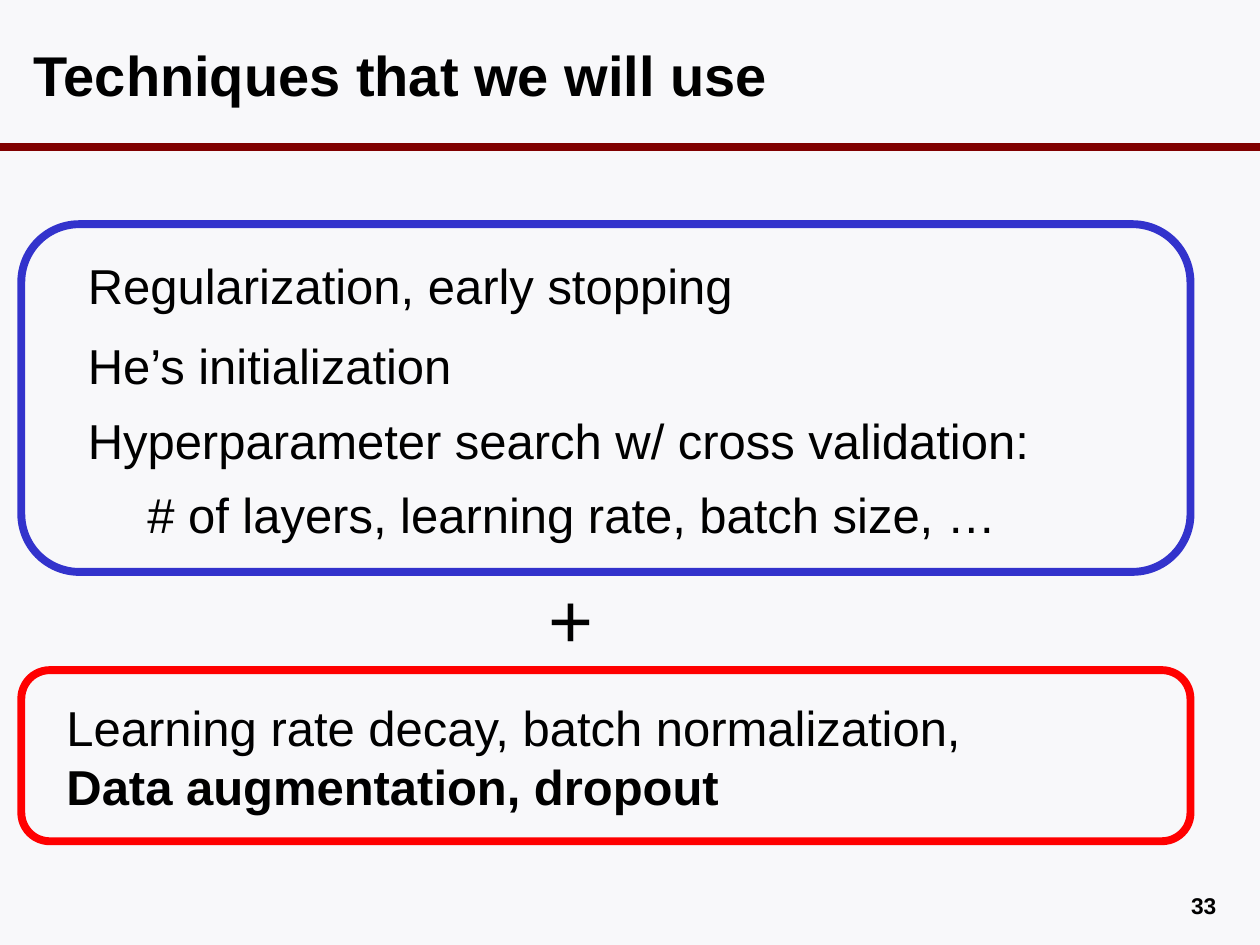
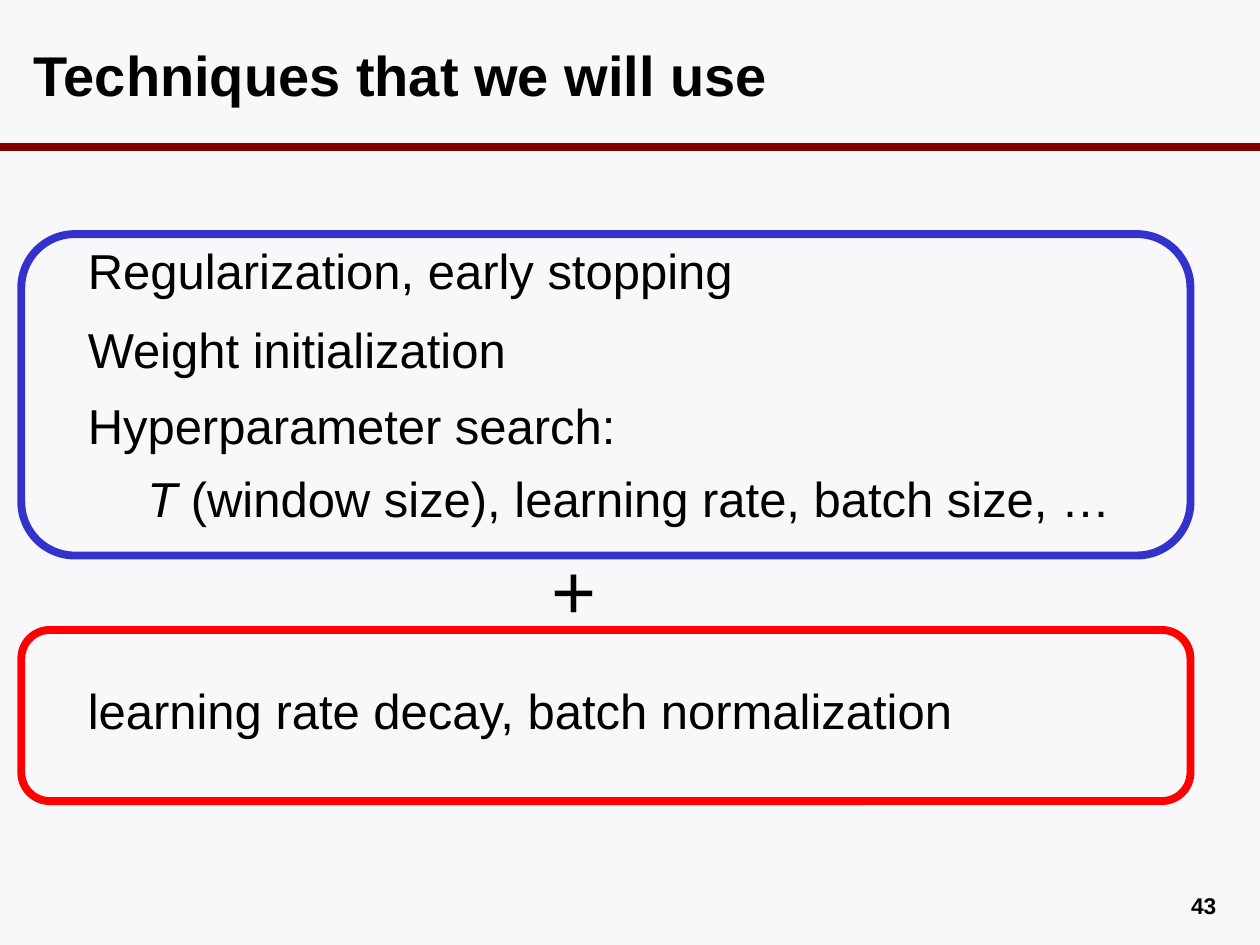
from pptx import Presentation
from pptx.dml.color import RGBColor
from pptx.enum.shapes import MSO_CONNECTOR, MSO_SHAPE
from pptx.enum.text import MSO_ANCHOR as Anchor, PP_ALIGN as Align
from pptx.oxml.ns import qn
from pptx.util import Cm, Pt
from lxml import etree

COLORS = {
    "background": "F8F8FA",
    "rule": "800000",
    "known": "3333CC",
    "new": "FF0000",
    "text": "000000",
}
FONT = "Arial"
BODY_SIZE = 28
LINE_WIDTH = 4.5
SLIDE_W, SLIDE_H = 25.4, 19.05
FRAME_LEFT, FRAME_W, NEW_FRAME_H = 0.43, 23.57, 3.45
ITEM_LEFT, DETAIL_LEFT = 1.52, 2.72
ITEM_H, ITEM_W = 1.45, 20.42
ITEM_OFFSETS = (0, 1.6, 3.12)
DETAIL_OFFSET = 4.61


def rgb(name):
    return RGBColor.from_string(COLORS[name])


def add_text(slide, box, paragraphs, size=BODY_SIZE, align=Align.LEFT,
             anchor=Anchor.TOP, wrap=True):
    """Each paragraph is a list of (text, style), style being "", "b" or "i"."""
    tf = slide.shapes.add_textbox(*map(Cm, box)).text_frame
    tf.word_wrap = wrap
    tf.vertical_anchor = anchor
    for i, runs in enumerate(paragraphs):
        p = tf.paragraphs[0] if i == 0 else tf.add_paragraph()
        p.alignment = align
        for text, style in runs:
            r = p.add_run()
            r.text = text
            r.font.name = FONT
            r.font.size = Pt(size)
            r.font.bold = style == "b"
            r.font.italic = style == "i"
            r.font.color.rgb = rgb("text")


def add_frame(slide, top, height, color):
    sp = slide.shapes.add_shape(MSO_SHAPE.ROUNDED_RECTANGLE, Cm(FRAME_LEFT),
                                Cm(top), Cm(FRAME_W), Cm(height))
    sp.shadow.inherit = False
    sp.fill.background()
    sp.line.color.rgb = rgb(color)
    sp.line.width = Pt(LINE_WIDTH)


def add_rule(slide, y):
    line = slide.shapes.add_connector(MSO_CONNECTOR.STRAIGHT, Cm(0), Cm(y),
                                      Cm(SLIDE_W), Cm(y))
    line.line.color.rgb = rgb("rule")
    line.line.width = Pt(LINE_WIDTH)
    etree.SubElement(line._element.spPr, qn("a:effectLst"))


def add_base_slide(prs, title, number):
    """Background, rule, title and page number shared by the slides."""
    s = prs.slides.add_slide(prs.slide_layouts[6])
    s.background.fill.solid()
    s.background.fill.fore_color.rgb = rgb("background")
    add_rule(s, 2.97)
    add_text(s, (0.43, 0.43, 24.28, 2.11), [[(title, "b")]], size=32,
             anchor=Anchor.MIDDLE)
    add_text(s, (18.85, 17.86, 5.92, 0.69), [[(str(number), "b")]], size=13,
             align=Align.RIGHT)
    return s


def add_known_techniques(slide, top, items, detail):
    for offset, item in zip(ITEM_OFFSETS, items):
        add_text(slide, (ITEM_LEFT, top + offset, ITEM_W, ITEM_H), [[(item, "")]])
    add_text(slide, (DETAIL_LEFT, top + DETAIL_OFFSET, ITEM_W, ITEM_H), [detail])


def add_plus(slide, left, top):
    add_text(slide, (left, top, 1.42, 2.13), [[("+", "")]], size=44, wrap=False)


def main():
    prs = Presentation()
    prs.slide_width, prs.slide_height = Cm(SLIDE_W), Cm(SLIDE_H)
    title = "Techniques that we will use"

    # Techniques with data augmentation and dropout
    s = add_base_slide(prs, title, 33)
    add_known_techniques(
        s, 5.03,
        ["Regularization, early stopping", "He’s initialization",
         "Hyperparameter search w/ cross validation:"],
        [("# of layers, learning rate, batch size, …", "")])
    add_frame(s, 4.52, 7.01, "known")
    add_frame(s, 13.51, NEW_FRAME_H, "new")
    add_plus(s, 10.8, 11.4)
    add_text(s, (1.09, 13.94, 22.43, 2.64),
             [[("Learning rate decay, batch normalization,", "")],
              [("Data augmentation, dropout", "b")]])

    # Techniques with a window size
    s = add_base_slide(prs, title, 43)
    add_known_techniques(
        s, 4.72,
        ["Regularization, early stopping", "Weight initialization",
         "Hyperparameter search:"],
        [("T", "i"), (" (window size), learning rate, batch size, …", "")])
    add_frame(s, 4.72, 6.48, "known")
    add_frame(s, 12.7, NEW_FRAME_H, "new")
    add_plus(s, 10.87, 10.82)
    add_text(s, (ITEM_LEFT, 13.59, ITEM_W, ITEM_H),
             [[("learning rate decay, batch normalization", "")]])

    prs.save("out.pptx")


if __name__ == "__main__":
    main()
